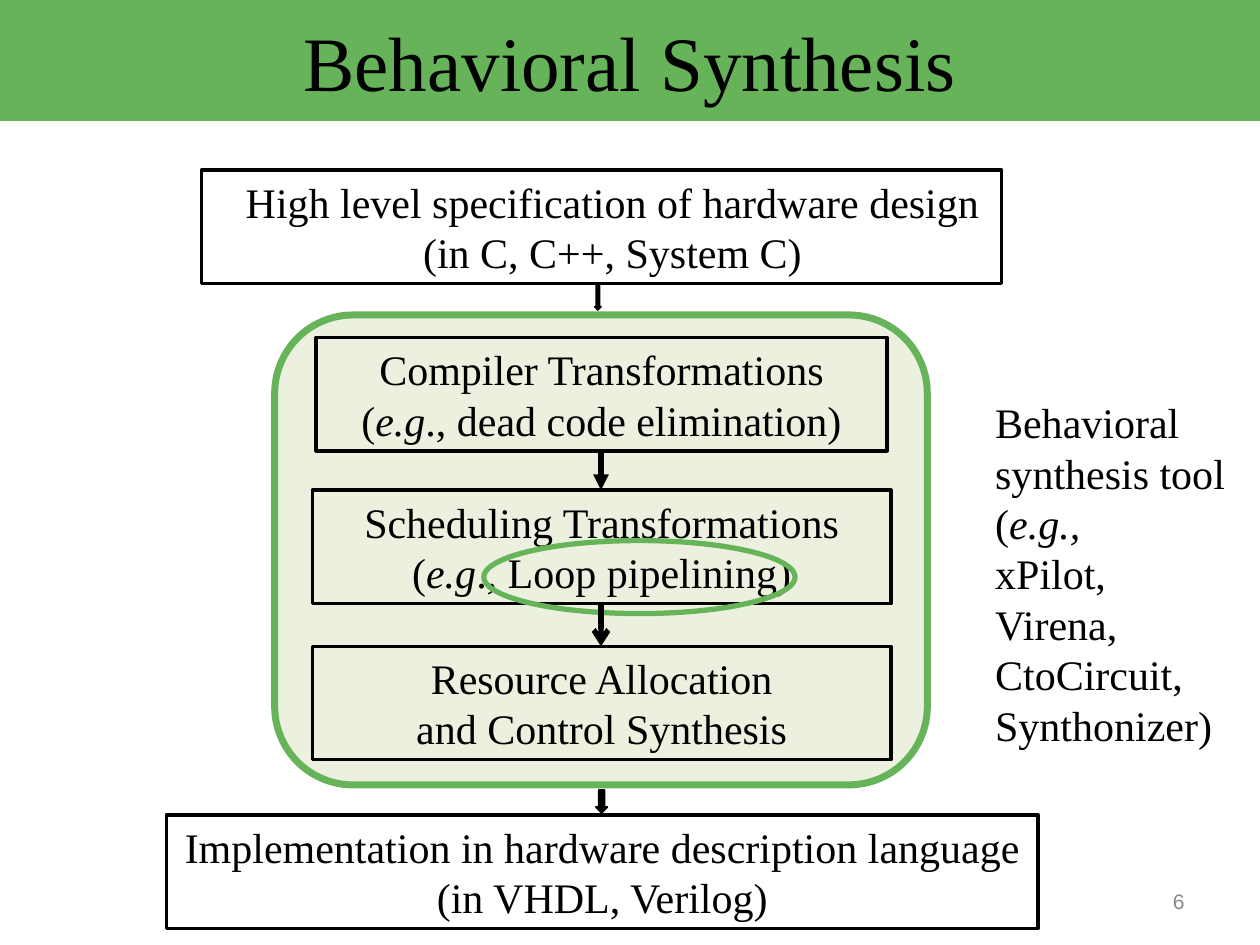
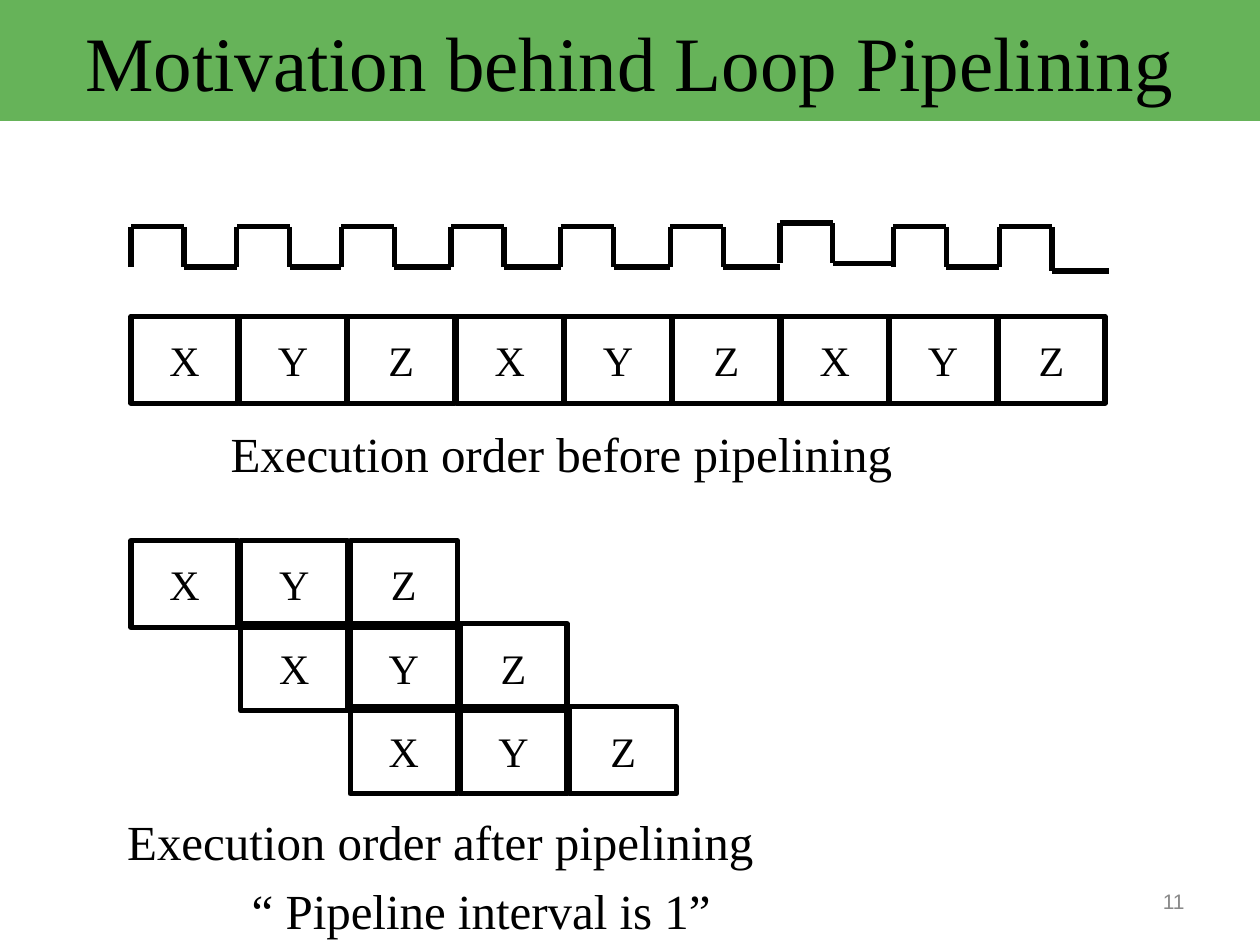
from lxml import etree
from pptx import Presentation
from pptx.dml.color import RGBColor
from pptx.enum.shapes import MSO_CONNECTOR as LINE, MSO_SHAPE as SHAPE
from pptx.enum.text import MSO_ANCHOR as ANCHOR, PP_ALIGN as ALIGN
from pptx.oxml.ns import qn
from pptx.util import Inches, Pt

COLORS = {
    "green": "66B359",
    "olive": "C3D69B",
    "black": "000000",
    "white": "FFFFFF",
    "grey": "898989",
}
SERIF, SANS = "Times New Roman", "Arial"
WIDE_INSETS = (0.1, 0.05, 0.1, 0.05)
SLIM_INSETS = (0.05, 0.03, 0.05, 0.03)


def rgb(name):
    return RGBColor.from_string(COLORS[name])


class Deck:
    """Shared style and the slide being built."""

    def __init__(self):
        self.prs = Presentation()
        self.prs.slide_width, self.prs.slide_height = Inches(10), Inches(7.5)
        self.slide = None

    def start(self, title, number):
        self.slide = self.prs.slides.add_slide(self.prs.slide_layouts[6])
        band = self.shape((0, 0, 10, 0.96), fill="green")
        self.add_lines(band, [title], size=44, anchor=ANCHOR.MIDDLE)
        self.label((7.17, 6.95, 2.33, 0.4), [str(number)], size=12, font=SANS,
                   color="grey", align=ALIGN.RIGHT, anchor=ANCHOR.MIDDLE)

    def add_lines(self, target, lines, size=24, font=SERIF, color="black",
                  align=ALIGN.CENTER, anchor=ANCHOR.TOP, insets=WIDE_INSETS):
        """One paragraph per line; parts between asterisks are italic."""
        frame = target.text_frame
        frame.word_wrap = True
        frame.vertical_anchor = anchor
        (frame.margin_left, frame.margin_top,
         frame.margin_right, frame.margin_bottom) = map(Inches, insets)
        for index, line in enumerate(lines):
            paragraph = frame.add_paragraph() if index else frame.paragraphs[0]
            paragraph.alignment = align
            for part, text in enumerate(line.split("*")):
                if not text:
                    continue
                run = paragraph.add_run()
                run.text = text
                run.font.name, run.font.size = font, Pt(size)
                run.font.italic = part % 2 == 1
                run.font.color.rgb = rgb(color)

    def label(self, at, lines, **style):
        self.add_lines(self.slide.shapes.add_textbox(*map(Inches, at)), lines, **style)

    def shape(self, at, kind=SHAPE.RECTANGLE, fill=None, line=None, width=1,
              opacity=None):
        shape = self.slide.shapes.add_shape(kind, *map(Inches, at))
        shape.shadow.inherit = False
        if fill:
            shape.fill.solid()
            shape.fill.fore_color.rgb = rgb(fill)
        else:
            shape.fill.background()
        if opacity:
            tone = shape._element.spPr.find(qn("a:solidFill")).find(qn("a:srgbClr"))
            etree.SubElement(tone, qn("a:alpha"), val=str(opacity * 1000))
        if line:
            shape.line.color.rgb = rgb(line)
            shape.line.width = Pt(width)
        else:
            shape.line.fill.background()
        return shape

    def box(self, at, lines, width=2, fill=None, **style):
        outline = self.shape(at, fill=fill, line="black", width=width)
        self.add_lines(outline, lines, **style)

    def cell(self, left, top, text):
        self.box((left, top, 0.85, 0.69), [text], width=3,
                 anchor=ANCHOR.MIDDLE, insets=SLIM_INSETS)

    def line(self, start, end, head=None):
        line = self.slide.shapes.add_connector(
            LINE.STRAIGHT, *map(Inches, (*start, *end)))
        line.line.color.rgb = rgb("black")
        line.line.width = Pt(3)
        properties = line._element.spPr
        if head:
            etree.SubElement(properties.find(qn("a:ln")), qn("a:tailEnd"), type=head)
        etree.SubElement(properties, qn("a:effectLst"))


def synthesis_flow(deck):
    deck.start("Behavioral Synthesis", 6)

    # Input, output and the tools in between
    deck.box((1.6, 1.35, 6.35, 0.9),
             ["High level specification of hardware design",
              "(in C, C++, System C)"],
             fill="white", insets=(0.27, 0.05, 0.1, 0.05))
    deck.box((1.32, 6.47, 6.92, 0.9),
             ["Implementation in hardware description language",
              "(in VHDL, Verilog)"])
    deck.label((7.8, 3.1, 2.2, 2.9),
               ["Behavioral", "synthesis tool", "(*e.g.,*", "xPilot,",
                "Virena,", "CtoCircuit,", "Synthonizer)"], align=ALIGN.LEFT)

    # Synthesis stages
    deck.shape((2.18, 2.5, 5.18, 3.73), SHAPE.ROUNDED_RECTANGLE,
               fill="olive", opacity=33, line="green", width=4)
    stages = [
        ((2.51, 2.68, 4.53, 0.9),
         ["Compiler Transformations", "(*e.g*., dead code elimination)"]),
        ((2.48, 3.89, 4.59, 0.9),
         ["Scheduling Transformations", "(*e.g*., Loop pipelining)"]),
        ((2.48, 5.13, 4.59, 0.9),
         ["Resource Allocation", "and Control Synthesis"]),
    ]
    for at, lines in stages:
        deck.box(at, lines)
    deck.shape((3.84, 4.29, 2.47, 0.58), SHAPE.OVAL, line="green", width=3)

    # Flow arrows
    deck.line((4.77, 3.59), (4.77, 3.89), "triangle")
    deck.line((4.77, 4.8), (4.77, 5.13), "arrow")
    for at in ((4.72, 2.26, 0.05, 0.2), (4.73, 6.27, 0.09, 0.18)):
        deck.shape(at, SHAPE.DOWN_ARROW, fill="black", line="black")


def loop_pipelining(deck):
    deck.start("Motivation behind Loop Pipelining", 11)
    steps = "XYZ"

    # Clock: rise, high, fall and low of each cycle
    edges = [1.04, 1.88, 2.71, 3.58, 4.45, 5.32, 6.19, 7.09, 7.93, 8.8]
    shifts = {6: (-0.03, -0.03), 8: (0, 0.03)}
    for cycle, (rise, following) in enumerate(zip(edges, edges[1:])):
        high_shift, low_shift = shifts.get(cycle, (0, 0))
        high, low = 1.8 + high_shift, 2.12 + low_shift
        fall = rise + 0.42
        points = [(rise, 2.12 + high_shift), (rise, high), (fall, high),
                  (fall, low), (following, low)]
        for start, end in zip(points, points[1:]):
            deck.line(start, end)

    # Sequential order
    for index, step in enumerate(steps * 3):
        deck.cell(1.04 + 0.86 * index, 2.51, step)
    deck.label((1.78, 3.33, 6.26, 0.52), ["Execution order before pipelining"],
               size=28, align=ALIGN.LEFT, insets=SLIM_INSETS)

    # Overlapped order: each iteration starts one step later
    for iteration in range(3):
        for index, step in enumerate(steps):
            deck.cell(1.04 + 0.87 * (iteration + index),
                      4.29 + 0.66 * iteration, step)
    deck.label((0.96, 6.41, 7.43, 0.52), ["Execution order after pipelining"],
               size=28, align=ALIGN.LEFT, insets=SLIM_INSETS)
    deck.label((1.32, 6.94, 5, 0.56), ["“ Pipeline interval is 1”"], size=28)


def main():
    deck = Deck()
    synthesis_flow(deck)
    loop_pipelining(deck)
    deck.prs.save("out.pptx")


if __name__ == "__main__":
    main()
